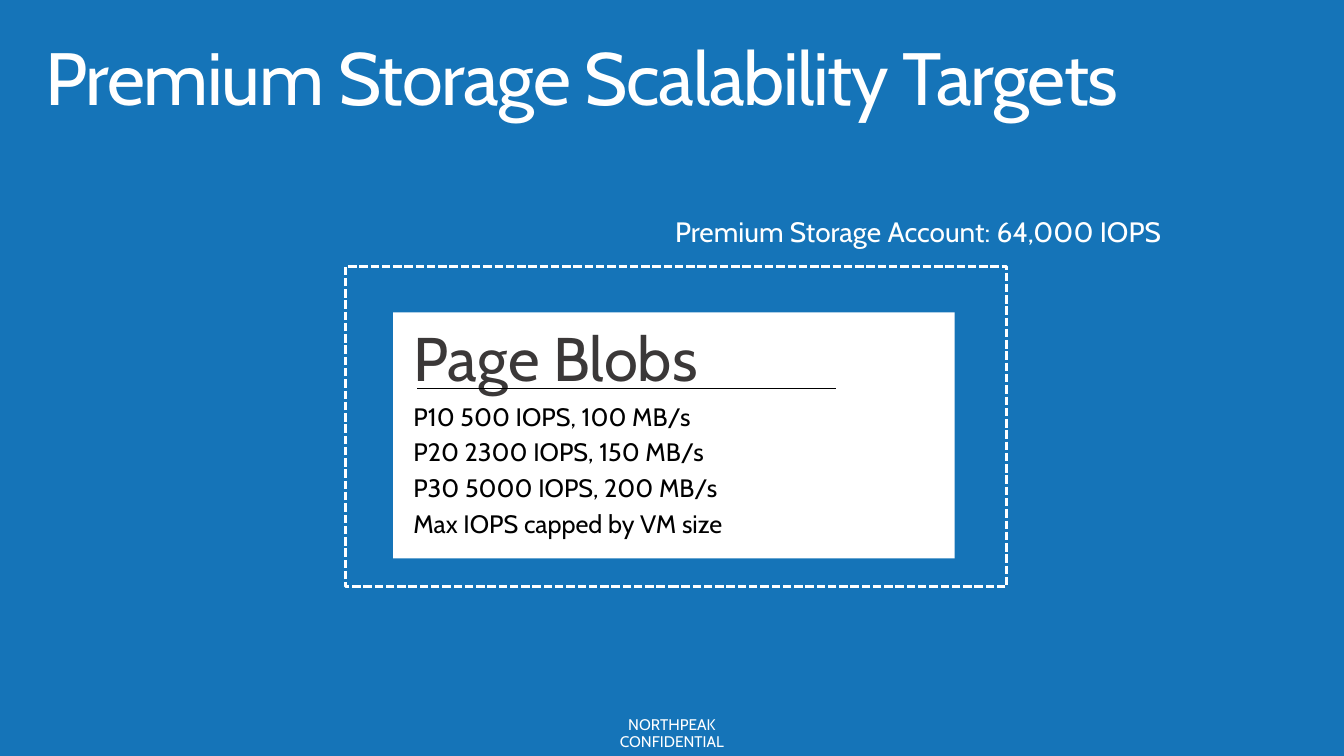
from pptx import Presentation
from pptx.dml.color import RGBColor
from pptx.enum.dml import MSO_LINE
from pptx.enum.shapes import MSO_CONNECTOR, MSO_SHAPE
from pptx.enum.text import MSO_ANCHOR, PP_ALIGN
from pptx.oxml.ns import qn
from pptx.util import Cm, Pt
from lxml.etree import SubElement

BLUE = RGBColor(0x15, 0x74, 0xB8)
WHITE = RGBColor(0xFF, 0xFF, 0xFF)
BLACK = RGBColor(0, 0, 0)
CHARCOAL = RGBColor(0x3B, 0x38, 0x38)
FONT = "Cabin"
TIERS = [
    "P10 500 IOPS, 100 MB/s",
    "P20 2300 IOPS, 150 MB/s",
    "P30 5000 IOPS, 200 MB/s",
    "Max IOPS capped by VM size",
]


def write(shape, lines, *, size, color=WHITE, align=PP_ALIGN.LEFT, anchor=MSO_ANCHOR.TOP,
          after=0, insets=(0.51, 0.41), wrap=True, tracking=0):
    """Fill a shape with formatted paragraphs."""
    frame = shape.text_frame
    frame.word_wrap = wrap
    frame.vertical_anchor = anchor
    frame.margin_left = frame.margin_right = Cm(insets[0])
    frame.margin_top = frame.margin_bottom = Cm(insets[1])
    frame.text = "\n".join(lines)
    for paragraph in frame.paragraphs:
        paragraph.alignment = align
        paragraph.line_spacing = 0.9
        paragraph.space_after = Pt(after)
        for run in paragraph.runs:
            run.font.name = FONT
            run.font.size = Pt(size)
            run.font.color.rgb = color
            if tracking:
                run.font._element.set("spc", str(tracking))


def add_text(slide, box, lines, **style):
    """Add a text box at a box given in centimetres."""
    write(slide.shapes.add_textbox(*map(Cm, box)), lines, **style)


def add_rectangle(slide, box):
    """Add a rectangle without shadow at a box given in centimetres."""
    rectangle = slide.shapes.add_shape(MSO_SHAPE.RECTANGLE, *map(Cm, box))
    rectangle.shadow.inherit = False
    return rectangle


def add_title(slide, box):
    """Place the slide title."""
    add_text(slide, box, ["Premium Storage Scalability Targets"], size=52.9,
             insets=(0.41, 0.25), tracking=-100)


def add_footer(slide, box):
    """Place the confidentiality footer."""
    add_text(slide, box, ["NORTHPEAK CONFIDENTIAL"], size=11, align=PP_ALIGN.CENTER,
             anchor=MSO_ANCHOR.MIDDLE, after=5.9, wrap=False)


def add_page_blobs(slide, box):
    """Place the page blob card with its heading, rule and tiers."""
    left, top, width, height = box
    card = add_rectangle(slide, box)
    card.fill.solid()
    card.fill.fore_color.rgb = WHITE
    card.line.fill.background()
    write(card, ["Page Blobs"], size=44, color=CHARCOAL)

    rule_top = top + 1.91
    add_text(slide, (left, rule_top, width + 0.28, 5.05), TIERS, size=18, color=BLACK, after=6)
    rule = slide.shapes.add_connector(
        MSO_CONNECTOR.STRAIGHT, Cm(left + 0.61), Cm(rule_top), Cm(left + 11.17), Cm(rule_top))
    rule.line.color.rgb = BLACK
    rule.line.width = Pt(0.75)
    SubElement(rule._element.spPr, qn("a:effectLst"))


def add_account(slide, box):
    """Place the dashed account boundary, its caption and its card."""
    left, top, width, height = box
    add_page_blobs(slide, (left + 1.2, top + 1.16, width - 2.51, height - 1.88))
    boundary = add_rectangle(slide, box)
    boundary.fill.background()
    boundary.line.color.rgb = WHITE
    boundary.line.width = Pt(2)
    boundary.line.dash_style = MSO_LINE.SQUARE_DOT
    add_text(slide, (left + 6.66, top - 1.6, 14.4, 1.6),
             ["Premium Storage Account: 64,000 IOPS"], size=20, align=PP_ALIGN.RIGHT, after=6)


def main():
    """Build and save the slide."""
    presentation = Presentation()
    presentation.slide_width = Cm(33.87)
    presentation.slide_height = Cm(19.05)
    slide = presentation.slides.add_slide(presentation.slide_layouts[6])
    slide.background.fill.solid()
    slide.background.fill.fore_color.rgb = BLUE
    add_footer(slide, (14, 17.88, 5.87, 1.22))
    add_title(slide, (0.74, 0.81, 32.05, 2.49))
    add_account(slide, (8.71, 6.71, 16.66, 8.08))
    presentation.save("out.pptx")


if __name__ == "__main__":
    main()
